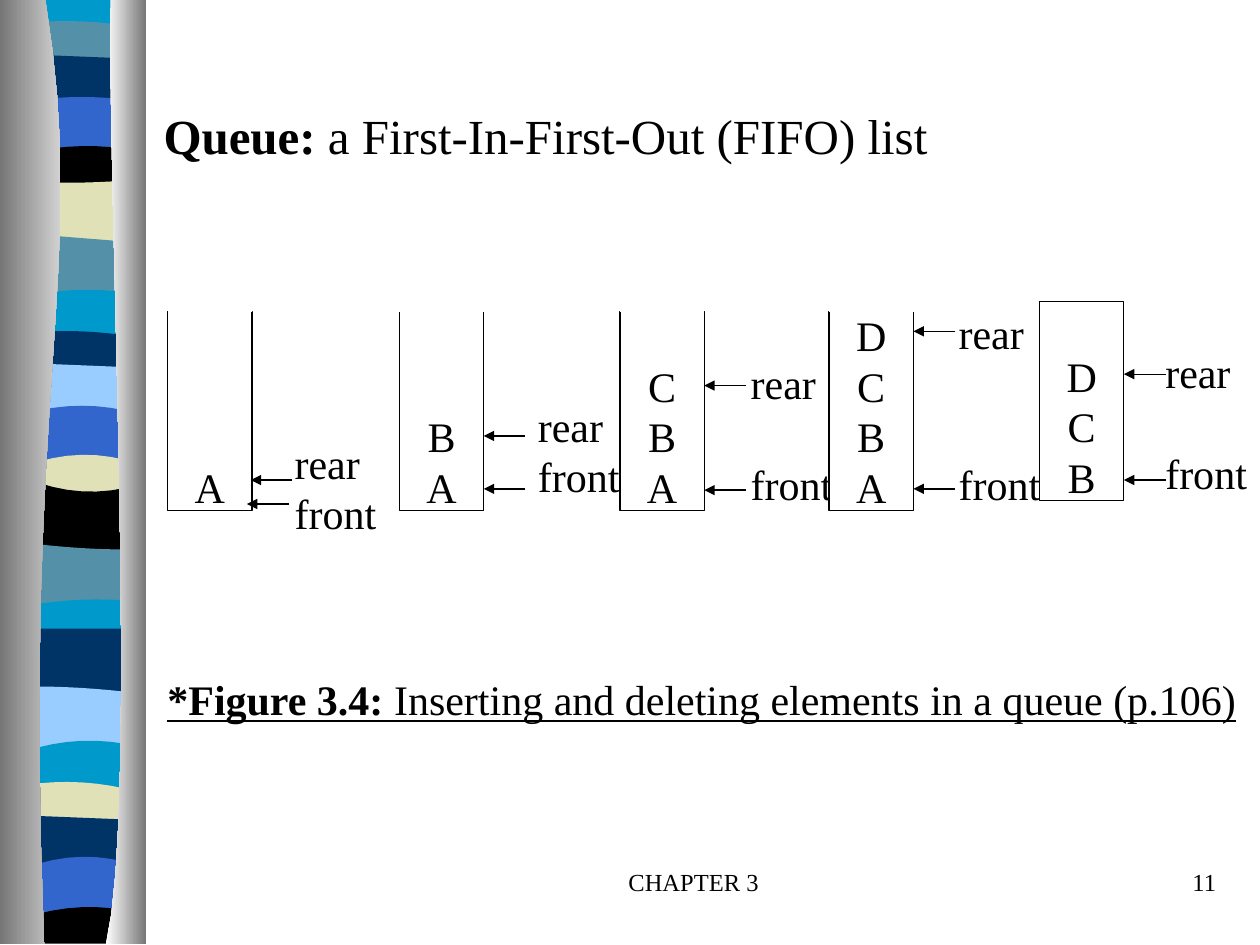
import pptx
import pptx.dml.color
import pptx.enum.shapes
import pptx.enum.text
import pptx.oxml
import pptx.oxml.ns
import pptx.util

Inches, Pt = pptx.util.Inches, pptx.util.Pt
ALIGN = pptx.enum.text.PP_ALIGN
ANCHOR = pptx.enum.text.MSO_ANCHOR

COLORS = {
    "black": "000000", "white": "FFFFFF", "gray": "767676", "silver": "D2D2D2",
    "cyan": "0099CC", "teal": "5490A8", "navy": "003366", "blue": "3366CC",
    "sand": "E1E1B7", "sky": "99CCFF",
}
FONT = "Times New Roman"
LINE = 28.8  # line pitch of 24 pt text, in points

# Each band: colour, and height of its upper edge at left, middle and right
BANDS = [
    ("cyan", 0, 0, 0), ("teal", 0.17, 0.17, 0.19), ("navy", 0.44, 0.45, 0.46),
    ("blue", 0.78, 0.77, 0.78), ("black", 1.18, 1.16, 1.17), ("sand", 1.45, 1.45, 1.44),
    ("teal", 1.87, 1.89, 1.91), ("cyan", 2.32, 2.3, 2.31), ("navy", 2.63, 2.63, 2.65),
    ("sky", 2.89, 2.9, 2.91), ("blue", 3.24, 3.22, 3.24), ("sand", 3.64, 3.61, 3.63),
    ("black", 3.86, 3.9, 3.89), ("teal", 4.33, 4.35, 4.36), ("cyan", 4.78, 4.76, 4.76),
    ("navy", 4.99, 4.99, 4.99), ("sky", 5.45, 5.46, 5.48), ("cyan", 5.91, 5.88, 5.89),
    ("sand", 6.21, 6.21, 6.24), ("navy", 6.48, 6.49, 6.5), ("blue", 6.83, 6.8, 6.82),
    ("black", 7.23, 7.2, 7.21),
]

# Each queue: left, top, open at the top, items from rear to front, then the
# offsets from the box's top right corner of the two arrow tips and of the
# labels, and the number of lines between the labels
QUEUES = [
    (1.33, 2.47, True, "A", [(-0.01, 1.34), (-0.04, 1.53)], (0.24, 0.95), 0),
    (3.17, 2.47, True, "BA", [(0, 0.99), (0, 1.41)], (0.33, 0.66), 0),
    (4.92, 2.47, True, "CBA", [(0, 0.59), (0, 1.42)], (0.27, 0.32), 1),
    (6.58, 2.47, True, "DCBA", [(0, 0.16), (0, 1.41)], (0.26, -0.08), 2),
    (8.25, 2.39, False, "DCB", [(0, 0.58), (0, 1.42)], (0.23, 0.31), 1),
]


def rgb(name):
    return pptx.dml.color.RGBColor.from_string(COLORS[name])


def write(frame, paragraphs, size=24, align=ALIGN.LEFT, anchor=ANCHOR.TOP, wrap=False,
          underline=False, pitch=None, gap=0, bottom=0.05):
    """Fill a frame; each paragraph is a list of (text, bold) runs."""
    frame.word_wrap = wrap
    frame.vertical_anchor = anchor
    frame.margin_bottom = Inches(bottom)
    for index, runs in enumerate(paragraphs):
        paragraph = frame.paragraphs[0] if index == 0 else frame.add_paragraph()
        paragraph.alignment = align
        if pitch:
            paragraph.line_spacing = Pt(pitch)
        if index and gap:
            paragraph.space_before = Pt(gap)
        for text, bold in runs:
            run = paragraph.add_run()
            run.text = text
            run.font.name, run.font.size = FONT, Pt(size)
            run.font.bold, run.font.underline = bold, underline
            run.font.color.rgb = rgb("black")


def add_text(slide, box, paragraphs, **style):
    textbox = slide.shapes.add_textbox(*map(Inches, box))
    write(textbox.text_frame, paragraphs, **style)


def add_line(slide, start, end, color, arrow=False):
    line = slide.shapes.add_connector(
        pptx.enum.shapes.MSO_CONNECTOR.STRAIGHT, *map(Inches, start + end))
    line.line.color.rgb = rgb(color)
    line.line.width = Pt(0.75)
    properties = line._element.spPr
    if arrow:
        head = pptx.oxml.parse_xml(
            f'<a:tailEnd {pptx.oxml.ns.nsdecls("a")} type="triangle"/>')
        line.line._get_or_add_ln().append(head)
    properties.append(pptx.oxml.parse_xml(f'<a:effectLst {pptx.oxml.ns.nsdecls("a")}/>'))


def add_outline(slide, points, *colors):
    """Draw a closed outline, filled plain or with a left-to-right gradient."""
    corners = [(Inches(x), Inches(y)) for x, y in points]
    builder = slide.shapes.build_freeform(*corners[0])
    builder.add_line_segments(corners[1:], close=True)
    outline = builder.convert_to_shape()
    outline.shadow.inherit = False
    outline.line.fill.background()
    if len(colors) == 1:
        outline.fill.solid()
        outline.fill.fore_color.rgb = rgb(colors[0])
    else:
        outline.fill.gradient()
        outline.fill.gradient_angle = 0
        for stop, color, position in zip(outline.fill.gradient_stops, colors, (0, 1)):
            stop.color.rgb, stop.position = rgb(color), position


def bezier(*controls, steps=16):
    """Sample a cubic curve."""
    points = []
    for step in range(steps + 1):
        t = step / steps
        weights = ((1 - t) ** 3, 3 * t * (1 - t) ** 2, 3 * t * t * (1 - t), t ** 3)
        points.append(tuple(sum(w * c[axis] for w, c in zip(weights, controls))
                            for axis in (0, 1)))
    return points


def band_edge(left, top, heights, steps=6):
    """Sample the parabola through the three heights of a band's edge."""
    start, middle, end = heights
    points = []
    for step in range(steps + 1):
        x = 0.3 + 0.7 * step / steps
        t = (x - 0.4) / 0.5
        y = (start * (1 - t) * (1 - 2 * t) + middle * 4 * t * (1 - t)
             + end * t * (2 * t - 1))
        points.append((left + x, top + y))
    return points


def add_sidebar(slide, left, top, width, height):
    right, bottom = left + width, top + height
    edges = [band_edge(left, top, heights) for _, *heights in BANDS]
    edges.append(band_edge(left, top, [height] * 3))
    for (color, *_), upper, lower in zip(BANDS, edges, edges[1:]):
        # A slight overlap closes the seam under the next band
        foot = [(x, min(y + 0.03, bottom)) for x, y in reversed(lower)]
        add_outline(slide, upper + foot, color)
    # Curved metal rims
    inner = bezier((left + 0.36, top), (left + 0.71, top + 2.16),
                   (left + 0.17, top + 2.96), (left + 0.35, bottom))
    add_outline(slide, inner + [(left, bottom), (left, top)], "gray", "silver")
    outer = bezier((left + 0.88, top), (left + 0.84, top + 1.25),
                   (left + 1.11, top + 6.46), (left + 0.84, bottom))
    add_outline(slide, outer + [(right, bottom), (right, top)], "white", "gray")


def add_queue(slide, left, top, width, height, is_open, items, tips, label_offset,
              gap_lines):
    right = left + width
    queue = slide.shapes.add_shape(
        pptx.enum.shapes.MSO_SHAPE.RECTANGLE, *map(Inches, (left, top, width, height)))
    queue.shadow.inherit = False
    queue.fill.solid()
    queue.fill.fore_color.rgb = rgb("white")
    queue.line.color.rgb = rgb("black")
    queue.line.width = Pt(0.75)
    write(queue.text_frame, [[(item, False)] for item in items], align=ALIGN.CENTER,
          anchor=ANCHOR.BOTTOM, pitch=LINE, bottom=-0.01)
    if is_open:
        add_line(slide, (left, top), (right, top), "white")
    # Rear and front pointers
    for dx, dy in tips:
        tip = (right + dx, top + dy)
        add_line(slide, (tip[0] + 0.33, tip[1]), tip, "black", arrow=True)
    dx, dy = label_offset
    add_text(slide, (right + dx, top + dy, 0.85, 0.9 + 0.4 * gap_lines),
             [[("rear", False)], [("front", False)]], pitch=LINE, gap=LINE * gap_lines)


def add_footer(slide, left, top, width, height):
    add_text(slide, (left, top, 3.17, height), [[("CHAPTER 3", False)]],
             size=14, align=ALIGN.CENTER, wrap=True)
    add_text(slide, (left + width - 2.08, top, 2.08, height), [[("11", False)]],
             size=14, align=ALIGN.RIGHT, wrap=True)


def main():
    deck = pptx.Presentation()
    deck.slide_width, deck.slide_height = Inches(10), Inches(7.5)
    slide = deck.slides.add_slide(deck.slide_layouts[6])
    add_sidebar(slide, 0, 0, 1.16, 7.49)
    add_footer(slide, 3.92, 6.83, 5.83, 0.5)
    for left, top, *content in QUEUES:
        add_queue(slide, left, top, 0.67, 1.58, *content)
    # Caption and heading
    add_text(slide, (1.23, 5.3, 8.69, 0.5),
             [[("*Figure 3.4: ", True),
               ("Inserting and deleting elements in a queue (p.106)", False)]],
             underline=True)
    add_text(slide, (1.2, 0.79, 6.26, 0.57),
             [[("Queue:", True), (" a First-In-First-Out (FIFO) list", False)]], size=28)
    deck.save("out.pptx")


if __name__ == "__main__":
    main()
